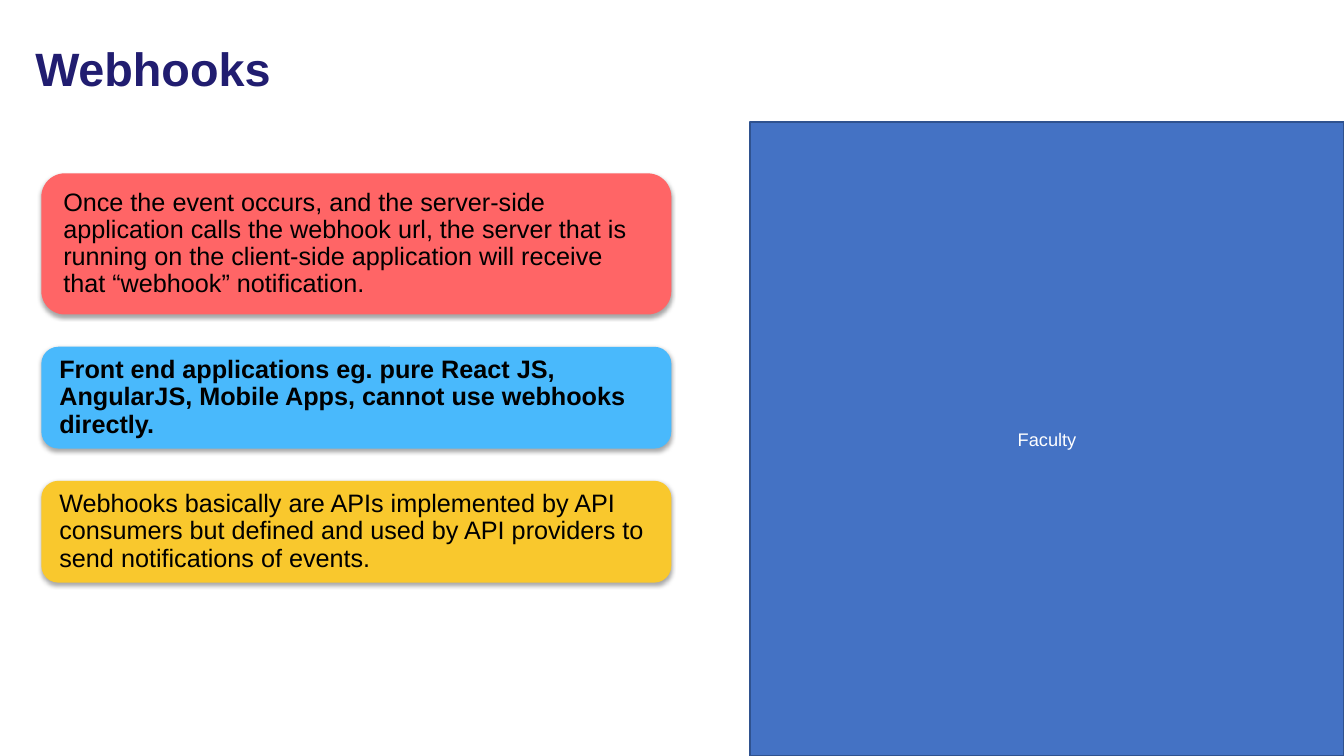
"""Build the Webhooks slide: a title, three stacked cards and a faculty panel."""
from dataclasses import dataclass

from lxml import etree
from pptx import Presentation
from pptx.dml.color import RGBColor
from pptx.enum.shapes import MSO_SHAPE
from pptx.enum.text import MSO_ANCHOR, MSO_AUTO_SIZE, PP_ALIGN
from pptx.oxml.ns import qn
from pptx.util import Inches, Pt

RECT, ROUND = MSO_SHAPE.RECTANGLE, MSO_SHAPE.ROUNDED_RECTANGLE
LEFT, CENTER = PP_ALIGN.LEFT, PP_ALIGN.CENTER
MIDDLE = MSO_ANCHOR.MIDDLE
NO_FIT = MSO_AUTO_SIZE.NONE

FONT = "Arial"
COLORS = {
    "title": "211D70",
    "panel": "4472C4",
    "panel_line": "2F528F",
    "white": "FFFFFF",
    "black": "000000",
    "red": "FF6566",
    "blue": "49B9FC",
    "yellow": "F9C82D",
}

prs = Presentation()
prs.slide_width, prs.slide_height = Inches(13.33), Inches(7.5)
COL, ROW = prs.slide_width / 160, prs.slide_height / 90

CARD_COL, CARD_COLS = 4.92, 75
CARD_TOP, CARD_GAP = 20.64, 3.84


@dataclass(frozen=True)
class Box:
    col: float
    row: float
    cols: float
    rows: float

    def emu(self) -> tuple[int, int, int, int]:
        return (round(self.col * COL), round(self.row * ROW),
                round(self.cols * COL), round(self.rows * ROW))


@dataclass(frozen=True)
class Card:
    text: str
    fill: str
    rows: float
    inset: float
    bold: bool = False


CARDS = [
    Card("Once the event occurs, and the server-side application calls the webhook url, "
         "the server that is running on the client-side application will receive that "
         "“webhook” notification.", "red", 16.8, 0.15),
    Card("Front end applications eg. pure React JS, AngularJS, Mobile Apps, "
         "cannot use webhooks directly.", "blue", 12.12, 0.13, True),
    Card("Webhooks basically are APIs implemented by API consumers but defined and used "
         "by API providers to send notifications of events.", "yellow", 12.12, 0.13),
]


def rgb(name: str) -> RGBColor:
    return RGBColor.from_string(COLORS[name])


def write(sp, text: str, size: float, color: str, bold: bool = False,
          align: PP_ALIGN = LEFT, spacing: float = 0.9, inset: float = 0.1) -> None:
    tf = sp.text_frame
    tf.word_wrap, tf.auto_size, tf.vertical_anchor = True, NO_FIT, MIDDLE
    tf.margin_left = tf.margin_right = Inches(inset)
    tf.margin_top = tf.margin_bottom = Inches(0.05)
    p = tf.paragraphs[0]
    p.alignment, p.line_spacing = align, spacing
    r = p.add_run()
    r.text = text
    r.font.name, r.font.size, r.font.bold = FONT, Pt(size), bold
    r.font.color.rgb = rgb(color)


def add_box(slide, kind: MSO_SHAPE, box: Box, fill: str):
    sp = slide.shapes.add_shape(kind, *box.emu())
    sp.shadow.inherit = False
    sp.fill.solid()
    sp.fill.fore_color.rgb = rgb(fill)
    sp.line.fill.background()
    return sp


def add_shadow(sp) -> None:
    effects = sp._element.spPr.find(qn("a:effectLst"))
    shadow = etree.SubElement(effects, qn("a:outerShdw"), blurRad=str(Pt(3.1)),
                              dist=str(Pt(1.8)), dir="5400000", rotWithShape="0")
    color = etree.SubElement(shadow, qn("a:srgbClr"), val=COLORS["black"])
    etree.SubElement(color, qn("a:alpha"), val="35000")


def add_cards(slide, cards: list[Card]) -> None:
    row = CARD_TOP
    for card in cards:
        sp = add_box(slide, ROUND, Box(CARD_COL, row, CARD_COLS, card.rows), card.fill)
        add_shadow(sp)
        write(sp, card.text, 18, "black", card.bold, inset=card.inset)
        row += card.rows + CARD_GAP


def main() -> None:
    slide = prs.slides.add_slide(prs.slide_layouts[5])

    panel = add_box(slide, RECT, Box(89.28, 14.52, 70.72, 75.48), "panel")
    panel.line.color.rgb = rgb("panel_line")
    panel.line.width = Pt(2)
    write(panel, "Faculty", 13, "white", align=CENTER, spacing=1.0)

    title = slide.shapes.title
    title.left, title.top, title.width, title.height = Box(3, 3, 141.72, 10.92).emu()
    write(title, "Webhooks", 33.4, "title", bold=True)

    add_cards(slide, CARDS)
    prs.save("out.pptx")


if __name__ == "__main__":
    main()
